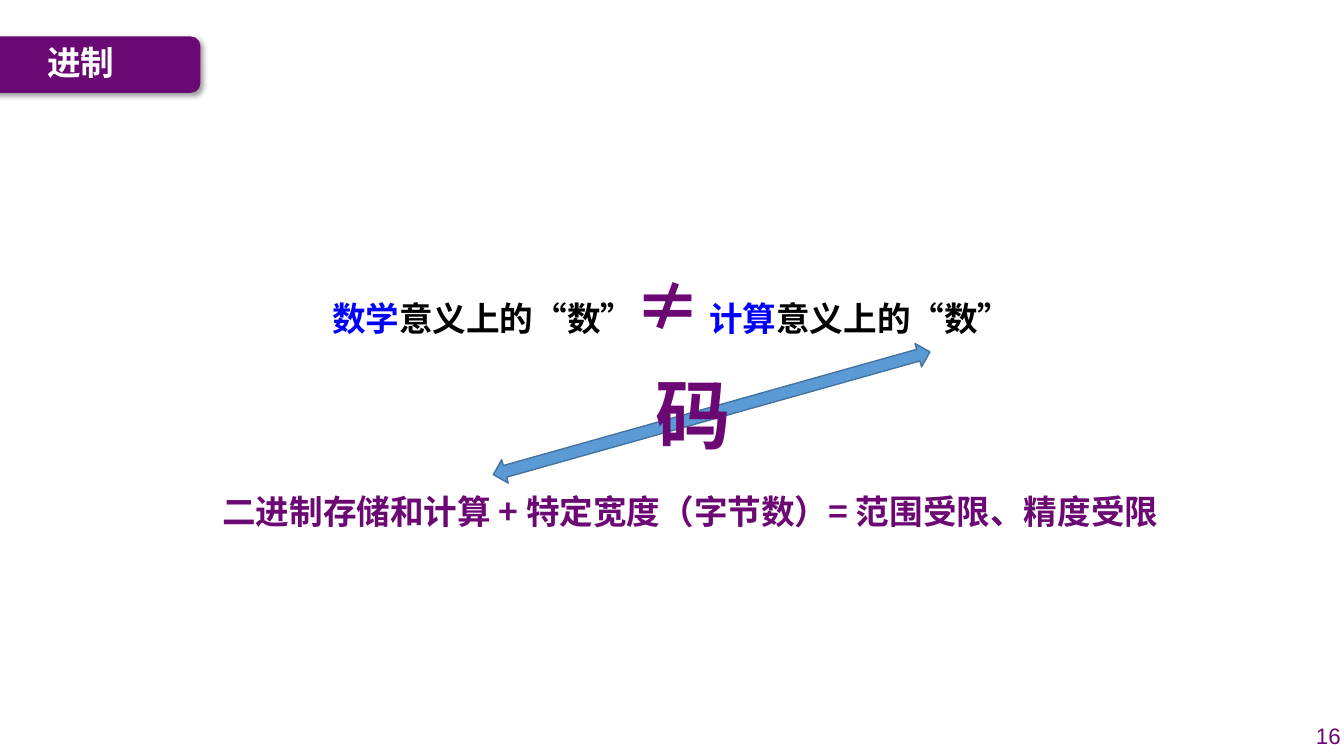
from dataclasses import dataclass

from lxml.etree import SubElement
from pptx import Presentation
from pptx.dml.color import RGBColor
from pptx.enum.shapes import MSO_SHAPE
from pptx.enum.text import MSO_ANCHOR, PP_ALIGN
from pptx.oxml.ns import qn
from pptx.util import Cm, Pt


@dataclass(frozen=True)
class Theme:
    cjk: str = "Noto Sans CJK SC"
    latin: str = "Arial"
    title_bar: str = "6A0874"
    accent: str = "6B0874"
    keyword: str = "0000FF"
    body: str = "000000"
    white: str = "FFFFFF"
    arrow: str = "5B9BD5"
    arrow_line: str = "43739E"
    shadow: str = "000000"
    body_size: int = 24
    sign_size: int = 48
    code_size: int = 54
    number_size: int = 16


THEME = Theme()


def add_run(p, text, color, size=THEME.body_size, font=THEME.cjk, bold=True):
    r = p.add_run()
    r.text = text
    r.font.size = Pt(size)
    r.font.bold = bold
    r.font.color.rgb = RGBColor.from_string(color)
    r.font.name = font
    SubElement(r.font._element, qn("a:ea"), typeface=font)


def add_text_frame(s, left, top, width, height, anchor=MSO_ANCHOR.TOP):
    tf = s.shapes.add_textbox(Cm(left), Cm(top), Cm(width), Cm(height)).text_frame
    tf.word_wrap = True
    tf.vertical_anchor = anchor
    return tf


def add_filled_shape(s, kind, left, top, width, height, color):
    sp = s.shapes.add_shape(kind, Cm(left), Cm(top), Cm(width), Cm(height))
    sp.shadow.inherit = False
    sp.fill.solid()
    sp.fill.fore_color.rgb = RGBColor.from_string(color)
    return sp


def add_soft_shadow(sp):
    effects = sp._element.spPr.find(qn("a:effectLst"))
    shadow = SubElement(effects, qn("a:outerShdw"), blurRad=str(Pt(4)),
                        dist=str(Pt(3)), dir="2700000", algn="tl", rotWithShape="0")
    color = SubElement(shadow, qn("a:srgbClr"), val=THEME.shadow)
    SubElement(color, qn("a:alpha"), val="40000")


def add_title(s, left, top, width, height):
    """The bar starts left of the slide so only its right corners look round."""
    bar = add_filled_shape(s, MSO_SHAPE.ROUNDED_RECTANGLE,
                           left, top, width, height, THEME.title_bar)
    bar.line.fill.background()
    add_soft_shadow(bar)
    text_left = 0.94
    tf = add_text_frame(s, text_left, top, left + width - text_left, height)
    add_run(tf.paragraphs[0], "进制", THEME.white)


def add_statements(s, left, top, width, height):
    tf = add_text_frame(s, left, top, width, height, MSO_ANCHOR.MIDDLE)
    p = tf.paragraphs[0]
    p.alignment = PP_ALIGN.CENTER
    meaning = "意义上的“数”"
    add_run(p, "数学", THEME.keyword)
    add_run(p, meaning, THEME.body)
    add_run(p, "≠", THEME.accent, THEME.sign_size)
    add_run(p, " ", THEME.body)
    add_run(p, "计算", THEME.keyword)
    add_run(p, meaning, THEME.body)

    p = tf.add_paragraph()
    p.alignment = PP_ALIGN.RIGHT
    p.space_before = Pt(104)
    add_run(p, "二进制存储和计算 + 特定宽度（字节数）= 范围受限、精度受限", THEME.accent)


def add_code_link(s, left, top, width, height):
    """Slanted double arrow with the word for code over its middle."""
    arrow = add_filled_shape(s, MSO_SHAPE.LEFT_RIGHT_ARROW,
                             left, top, width, height, THEME.arrow)
    arrow.rotation = 344.3
    arrow.line.color.rgb = RGBColor.from_string(THEME.arrow_line)
    arrow.line.width = Pt(1)
    tf = add_text_frame(s, left + 4.06, top - 0.97, 2.74, 2.57)
    add_run(tf.paragraphs[0], "码", THEME.accent, THEME.code_size)


def add_page_number(s, left, top, width, height):
    tf = add_text_frame(s, left, top, width, height, MSO_ANCHOR.MIDDLE)
    p = tf.paragraphs[0]
    p.alignment = PP_ALIGN.RIGHT
    # The number sits close to the slide edge
    tf.margin_left = tf.margin_right = Cm(0.1)
    add_run(p, "16", THEME.title_bar, THEME.number_size, THEME.latin, bold=False)


def main():
    prs = Presentation()
    prs.slide_width, prs.slide_height = Cm(33.87), Cm(19.05)
    s = prs.slides.add_slide(prs.slide_layouts[6])
    add_title(s, -2.06, 0.92, 7.11, 1.42)
    add_statements(s, 4.42, 6.83, 25.02, 6.4)
    add_code_link(s, 12.22, 10.11, 11.43, 0.61)
    add_page_number(s, 32.49, 18.03, 1.4, 1.02)
    prs.save("out.pptx")


if __name__ == "__main__":
    main()
